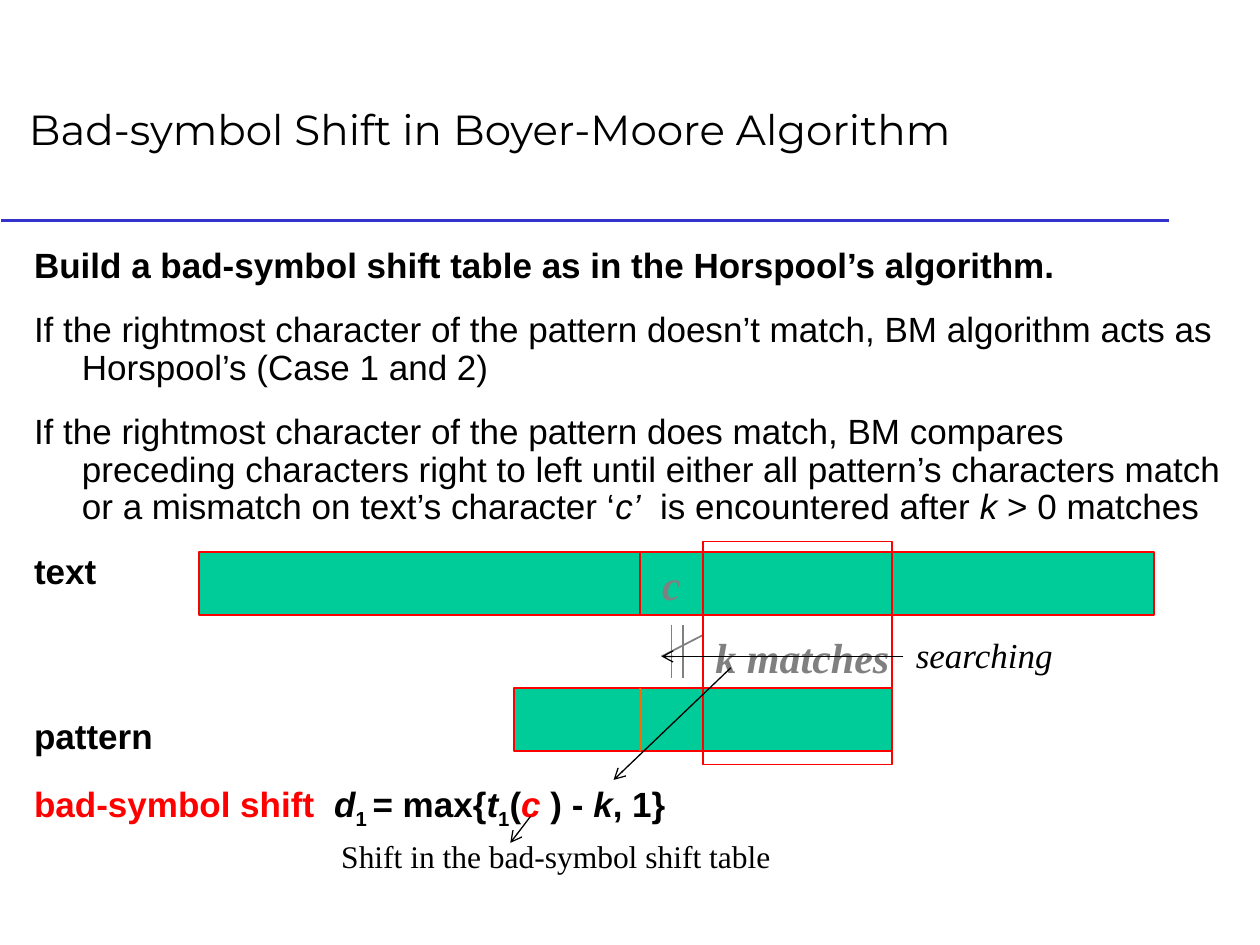
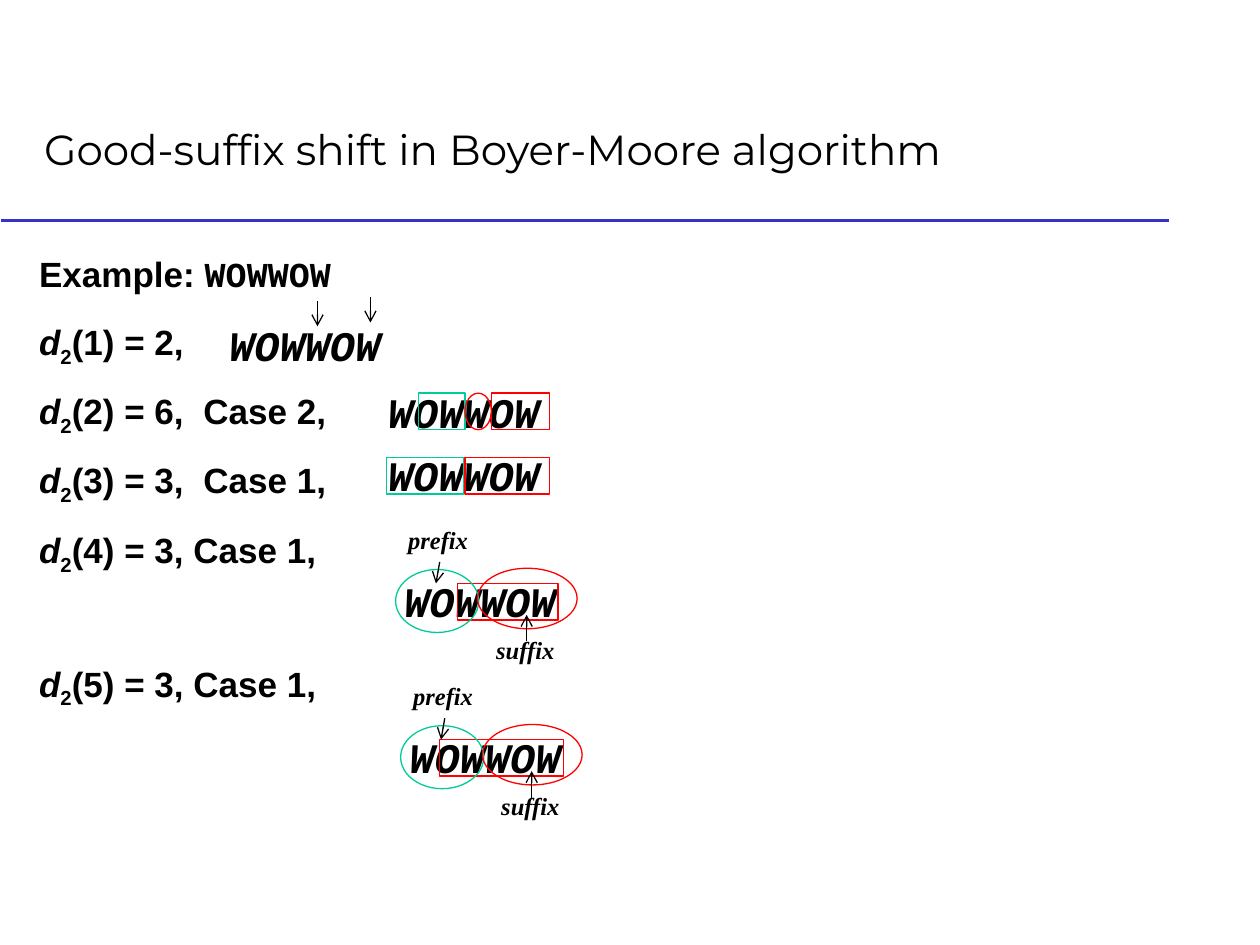
from lxml import etree
from pptx import Presentation
from pptx import util as u
from pptx.dml.color import RGBColor
from pptx.enum import shapes, text
from pptx.oxml.ns import qn

COLORS = {"black": "000000", "red": "FF0000", "green": "00CC99",
          "gray": "808080", "orange": "FF6600", "rule": "3333CC"}
FONTS = {"title": "Montserrat", "body": "Arial",
         "code": "Courier New", "note": "Times New Roman"}
COLUMNS, ROWS = 10, 7.5
WIDTH, HEIGHT = u.Inches(10), u.Inches(7.5)
CELL = 0.5
BAR_LEFT = 1.58
TEXT_TOP, PATTERN_TOP = 4.38, 5.46
WORD = "WOWWOW"
PARAGRAPH_GAP = 15


def across(columns):
    return round(WIDTH * columns / COLUMNS)


def down(rows):
    return round(HEIGHT * rows / ROWS)


def frame(left, top, width, height):
    return across(left), down(top), across(width), down(height)


def cell_x(index):
    return BAR_LEFT + CELL * index


def rgb(name):
    return RGBColor.from_string(COLORS[name])


def set_font(font, face, size, color="black", bold=False, italic=False):
    font.name, font.size = FONTS[face], u.Pt(size)
    font.bold, font.italic = bold, italic
    font.color.rgb = rgb(color)


def add_line(slide, start, end, color="black", weight=0.75, arrow=False):
    line = slide.shapes.add_connector(
        shapes.MSO_CONNECTOR.STRAIGHT, across(start[0]), down(start[1]),
        across(end[0]), down(end[1]))
    line.line.color.rgb = rgb(color)
    line.line.width = u.Pt(weight)
    properties = line.element.spPr
    if arrow:
        etree.SubElement(properties.find(qn("a:ln")), qn("a:tailEnd"), type="arrow")
    etree.SubElement(properties, qn("a:effectLst"))
    return line


def add_outline(slide, box, color="red", kind="RECTANGLE", fill=None, weight=0.75):
    shape = slide.shapes.add_shape(shapes.MSO_SHAPE[kind], *frame(*box))
    shape.shadow.inherit = False
    shape.line.color.rgb = rgb(color)
    shape.line.width = u.Pt(weight)
    if fill:
        shape.fill.solid()
        shape.fill.fore_color.rgb = rgb(fill)
    else:
        shape.fill.background()


def add_label(slide, box, words, size, face="note", centered=False, **style):
    text_frame = slide.shapes.add_textbox(*frame(*box)).text_frame
    text_frame.word_wrap = False
    paragraph = text_frame.paragraphs[0]
    paragraph.text = words
    if centered:
        paragraph.alignment = text.PP_ALIGN.CENTER
    set_font(paragraph.font, face, size, **style)


def add_word(slide, left, top):
    add_label(slide, (left, top, 1.41, 0.5), WORD, 24, "code", bold=True, italic=True)


def place(placeholder, box, anchor):
    placeholder.left, placeholder.top, placeholder.width, placeholder.height = frame(*box)
    text_frame = placeholder.text_frame
    text_frame.word_wrap = True
    text_frame.auto_size = text.MSO_AUTO_SIZE.NONE
    text_frame.vertical_anchor = anchor
    return text_frame


def set_title(slide, words, box):
    paragraph = place(slide.shapes.title, box, text.MSO_ANCHOR.BOTTOM).paragraphs[0]
    paragraph.text = words
    paragraph.alignment = text.PP_ALIGN.LEFT
    set_font(paragraph.font, "title", 24)


def add_run(paragraph, words, flags=""):
    run = paragraph.add_run()
    run.text = words
    if "italic" in flags:
        run.font.italic = True
    if "red" in flags:
        run.font.color.rgb = rgb("red")
    if "code" in flags:
        run.font.name = FONTS["code"]
    if "sub" in flags:
        run.font._element.set("baseline", "-25000")
    if "wide" in flags:
        run.font._element.set("spc", "560")


def set_body(slide, box, items):
    text_frame = place(slide.placeholders[1], box, text.MSO_ANCHOR.TOP)
    for index, (runs, bold, gap) in enumerate(items):
        paragraph = text_frame.add_paragraph() if index else text_frame.paragraphs[0]
        properties = paragraph._p.get_or_add_pPr()
        properties.set("marL", str(u.Inches(0.38)))
        properties.set("indent", str(-u.Inches(0.38)))
        etree.SubElement(properties, qn("a:buNone"))
        paragraph.line_spacing = 0.9
        paragraph.space_before = u.Pt(gap if index else 0)
        set_font(paragraph.font, "body", 20, bold=bold)
        for run in runs:
            add_run(paragraph, *run)


def share_rule(slide):
    rule = add_line(slide, (0.01, 1.75), (9.28, 1.75), "rule", 1.5)
    rule.element.nvCxnSpPr.cNvPr.set("id", "20")
    slide.slide_layout.shapes.element.append(rule.element)


def add_bar(slide, top, first, last, dividers):
    left = cell_x(first)
    add_outline(slide, (left, top, cell_x(last) - left, CELL), fill="green", weight=1)
    for index, color in dividers:
        x = cell_x(index)
        add_line(slide, (x, top), (x, top + CELL), color, 1)


def add_not_equal(slide):
    for x in (5.33, 5.42):
        add_line(slide, (x, 4.96), (x, 5.38), "gray", 1)
    add_line(slide, (5.25, 5.21), (5.58, 5.04), "gray", 1)


def build_bad_symbol(slide):
    set_title(slide, "Bad-symbol Shift in Boyer-Moore Algorithm", (0.13, 0.52, 9.74, 0.75))
    set_body(slide, (0.17, 1.92, 9.66, 5), [
        ([("Build a bad-symbol shift table as in the Horspool’s algorithm.",)],
         True, PARAGRAPH_GAP),
        ([("If the rightmost character of the pattern doesn’t match, BM algorithm "
           "acts as Horspool’s (Case 1 and 2)",)], False, PARAGRAPH_GAP),
        ([("If the rightmost character of the pattern does match, BM compares "
           "preceding characters right to left until either all pattern’s characters "
           "match or a mismatch on text’s character ‘",), ("c’", "italic"), (" ", "wide"),
          ("is encountered after ",), ("k ", "italic"), ("> 0 matches",)],
         False, PARAGRAPH_GAP),
        ([("text",)], True, PARAGRAPH_GAP),
        ([("pattern",)], True, 73),
        ([("bad-symbol shift", "red"), (" ", "wide"), ("d", "italic"), ("1 ", "sub"),
          ("= max{",), ("t", "italic"), ("1", "sub"), ("(",), ("c ", "italic red"),
          (") - ",), ("k", "italic"), (", 1}",)], True, PARAGRAPH_GAP),
    ])
    add_bar(slide, TEXT_TOP, 0, 15.16, [(7, "red"), (8, "red"), (11, "red")])
    add_label(slide, (cell_x(7), TEXT_TOP, CELL, CELL), "c", 24, centered=True,
              color="gray", bold=True, italic=True)
    add_bar(slide, PATTERN_TOP, 5, 11, [(8, "red"), (7, "orange")])
    add_not_equal(slide)
    add_label(slide, (5.58, 4.96, 1.58, 0.5), "k matches", 24,
              color="gray", bold=True, italic=True)
    add_outline(slide, (cell_x(8), 4.3, 3 * CELL, 1.77))
    add_line(slide, (7.17, 5.21), (5.25, 5.21), arrow=True)
    add_label(slide, (7.17, 4.98, 1.3, 0.44), "searching", 20, italic=True)
    add_line(slide, (4.21, 6.48), (4.05, 6.69), arrow=True)
    add_label(slide, (2.61, 6.59, 3.65, 0.4), "Shift in the bad-symbol shift table", 18)
    add_line(slide, (5.8, 5.3), (4.87, 6.19), arrow=True)


def shift_item(k, value, case="", wide=False, gap=PARAGRAPH_GAP):
    runs = [("d", "italic"), ("2", "sub"), (f"({k}) = {value},",)]
    if case:
        runs += [(" ", "wide" if wide else ""), (case,)]
    return runs, True, gap


def add_prefix_suffix(slide, left, top, suffix_start, suffix_width):
    def at(x, y, *size):
        return (left + x, top + y, *size)

    add_word(slide, left, top)
    add_outline(slide, at(suffix_start, 0.11, suffix_width, 0.29))
    add_outline(slide, at(0.03, 0, 0.66, 0.5), "green", "OVAL")
    add_outline(slide, at(0.68, -0.01, 0.79, 0.48), "red", "OVAL")
    add_label(slide, at(0.03, -0.4, 0.68, 0.34), "prefix", 14, bold=True, italic=True)
    add_line(slide, at(0.38, -0.06), at(0.35, 0.11), arrow=True)
    add_label(slide, at(0.73, 0.47, 0.67, 0.34), "suffix", 14, bold=True, italic=True)
    add_line(slide, at(1.07, 0.57), at(1.07, 0.36), arrow=True)


def build_good_suffix(slide):
    set_title(slide, "Good-suffix shift in Boyer-Moore algorithm", (0.25, 0.68, 9.17, 0.75))
    set_body(slide, (0.21, 1.99, 9.49, 4.73), [
        ([("Example: ",), (WORD, "code")], True, PARAGRAPH_GAP),
        shift_item(1, 2),
        shift_item(2, 6, "Case 2,", wide=True),
        shift_item(3, 3, "Case 1,", wide=True),
        shift_item(4, 3, "Case 1,"),
        shift_item(5, 3, "Case 1,", gap=52),
    ])
    add_word(slide, 1.72, 2.49)
    for x, top in ((2.52, 2.39), (2.94, 2.36)):
        add_line(slide, (x, top), (x, top + 0.2), arrow=True)
    add_word(slide, 2.98, 3.02)
    add_outline(slide, (3.9, 3.12, 0.46, 0.29))
    add_outline(slide, (3.32, 3.12, 0.37, 0.29), "green")
    add_outline(slide, (3.69, 3.12, 0.21, 0.29), "red", "OVAL")
    add_word(slide, 2.98, 3.52)
    add_outline(slide, (3.69, 3.63, 0.67, 0.29))
    add_outline(slide, (3.07, 3.63, 0.61, 0.29), "green")
    add_prefix_suffix(slide, 3.11, 4.52, 0.52, 0.8)
    add_prefix_suffix(slide, 3.15, 5.76, 0.34, 0.98)


def main():
    presentation = Presentation()
    presentation.slide_width, presentation.slide_height = WIDTH, HEIGHT
    layout = presentation.slide_layouts[1]
    bad_symbol, good_suffix = [presentation.slides.add_slide(layout) for _ in range(2)]
    share_rule(bad_symbol)
    build_bad_symbol(bad_symbol)
    build_good_suffix(good_suffix)
    presentation.save("out.pptx")


if __name__ == "__main__":
    main()
